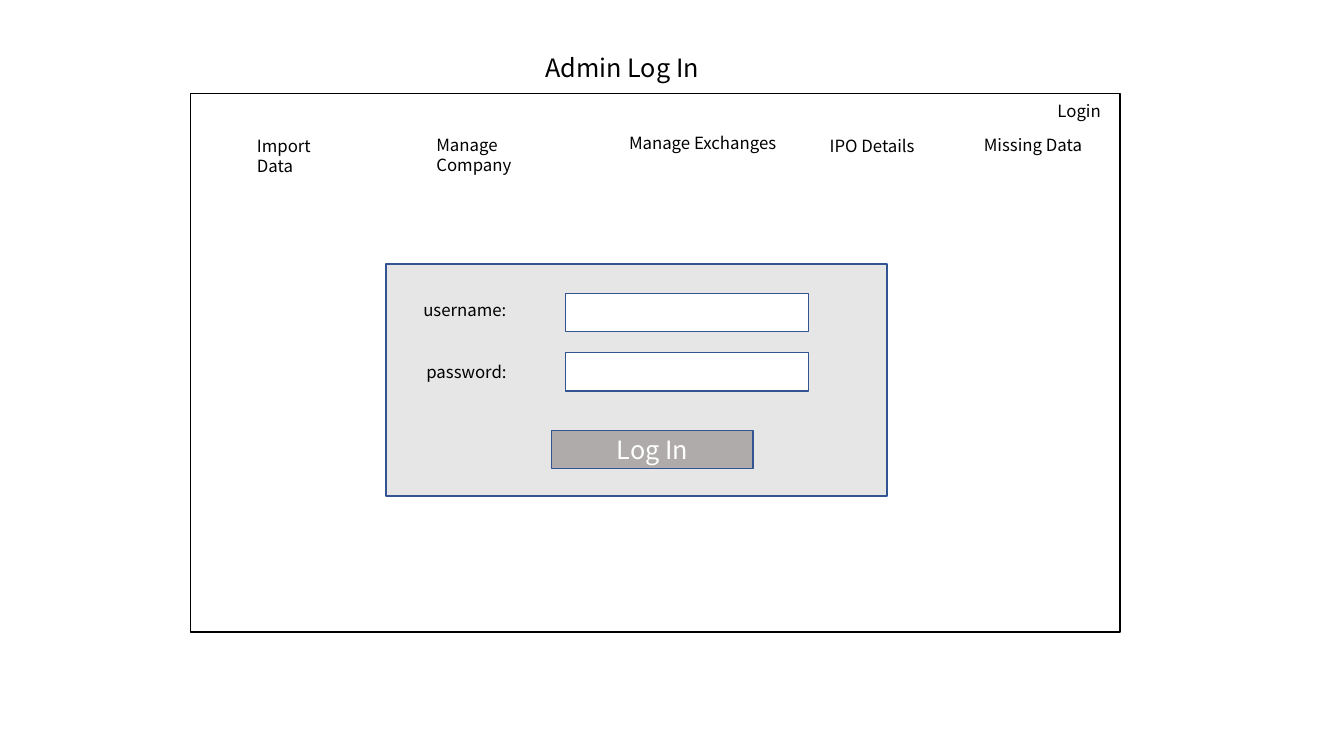
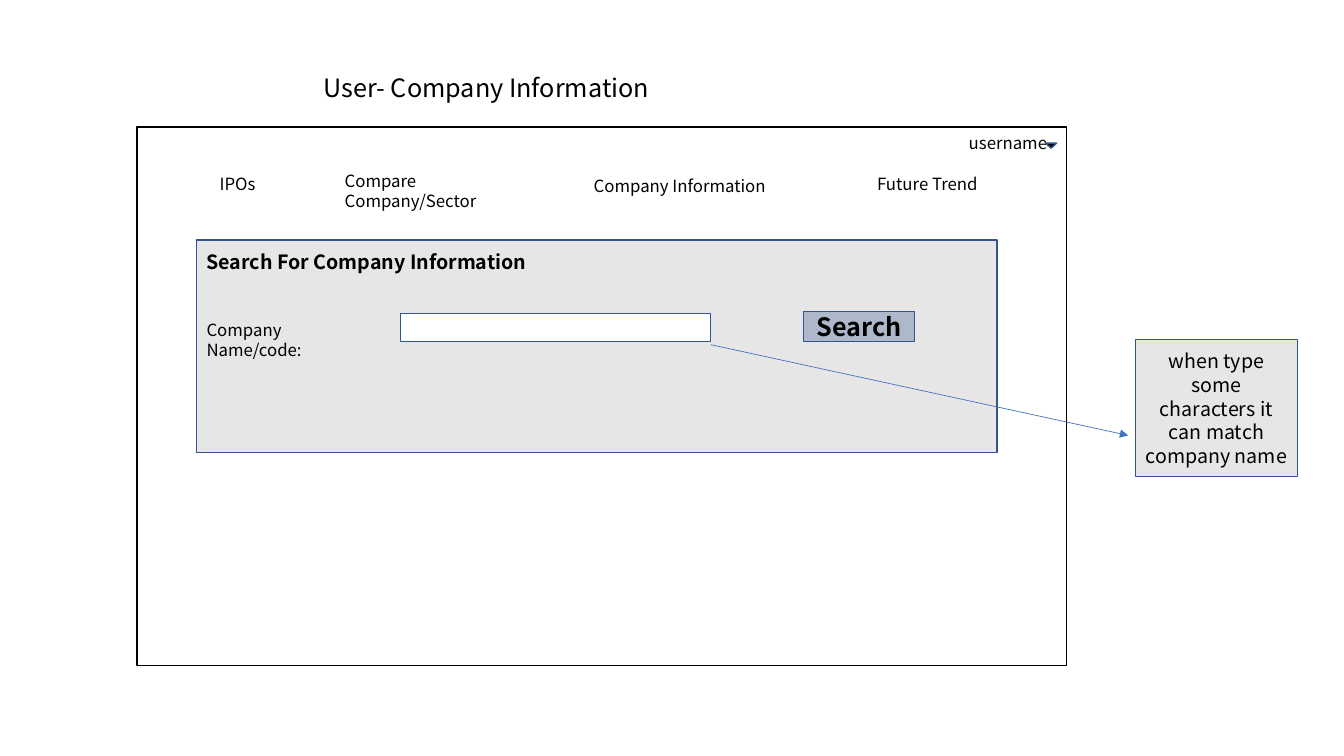
from pptx import Presentation
from pptx import util as u
from pptx.dml.color import RGBColor
from pptx.enum import shapes, text
from pptx.oxml.ns import qn
from lxml import etree

# Shared style
FONT = "Noto Sans CJK SC"
BLACK, WHITE, GREY = "000000", "FFFFFF", "E7E6E6"
EDGE, ARROW = "325491", "4472C4"
RECT = shapes.MSO_SHAPE.RECTANGLE
FRAME = (9.22, 5.34)
LABEL_H = 0.3

# Content: labels are (text, left, top, width[, size, bold]);
# boxes are (place, fill[, text, size, colour, bold])
LOGIN = {
    "title": ("Admin Log In", 5.31, 0.47, 3.56),
    "frame": (1.89, 0.93),
    "boxes": [
        ((3.83, 2.62, 4.97, 2.3), GREY),
        ((5.61, 2.91, 2.41, 0.38), WHITE),
        ((5.61, 3.5, 2.41, 0.38), WHITE),
        ((5.47, 4.27, 2, 0.38), "AFABAB", "Log In", 18, WHITE),
    ],
    "labels": [
        ("Import Data", 2.45, 1.3, 1.07),
        ("Manage Company", 4.23, 1.29, 1.56),
        ("Manage Exchanges", 6.14, 1.27, 1.75),
        ("IPO Details", 8.13, 1.3, 1.16),
        ("Missing Data", 9.66, 1.29, 1.27),
        ("Login", 10.39, 0.95, 1.07),
        ("username:", 4.1, 2.92, 1.52),
        ("password:", 4.13, 3.54, 1.18),
    ],
}
SEARCH = {
    "title": ("User- Company Information", 3.11, 0.67, 5.7),
    "frame": (1.36, 1.26),
    "boxes": [
        ((1.95, 2.38, 7.94, 2.11), GREY),
        ((3.97, 3.11, 3.08, 0.28), WHITE),
        ((7.97, 3.09, 1.1, 0.3), "ADB9CA", "Search", 18, BLACK, True),
        ((11.26, 3.37, 1.61, 1.36), GREY,
         "when type some characters it can match company name", 14, BLACK),
    ],
    "labels": [
        ("IPOs", 2.08, 1.67, 1.07),
        ("Compare Company/Sector", 3.32, 1.64, 2.2),
        ("Company Information", 5.79, 1.69, 1.95),
        ("Future Trend", 8.6, 1.67, 1.75),
        ("username", 9.51, 1.27, 1.07),
        ("Search For Company Information", 1.95, 2.43, 3.44, 14, True),
        ("Company Name/code:", 1.95, 3.12, 1.91),
    ],
}
MENU = (10.37, 1.42, 0.11, 0.05)
POINTER = (7.05, 3.42, 11.19, 4.32)


def inches(place):
    return [u.Inches(n) for n in place]


def color(code):
    return RGBColor.from_string(code)


def write(shape, words, size, ink=BLACK, bold=False, align="LEFT", anchor="TOP"):
    frame = shape.text_frame
    frame.word_wrap = True
    frame.auto_size = text.MSO_AUTO_SIZE.NONE
    frame.vertical_anchor = getattr(text.MSO_ANCHOR, anchor)
    para = frame.paragraphs[0]
    para.alignment = getattr(text.PP_ALIGN, align)
    para.line_spacing = u.Pt(size * 1.2)
    run = para.add_run()
    run.text = words
    font = run.font
    font.name, font.size, font.bold = FONT, u.Pt(size), bold
    font.color.rgb = color(ink)


def box(slide, place, fill, words="", size=18, ink=BLACK, bold=False,
        edge=EDGE, kind=RECT):
    shape = slide.shapes.add_shape(kind, *inches(place))
    shape.shadow.inherit = False
    shape.fill.solid()
    shape.fill.fore_color.rgb = color(fill)
    shape.line.color.rgb = color(edge)
    shape.line.width = u.Pt(1)
    if words:
        write(shape, words, size, ink, bold, "CENTER", "MIDDLE")
    return shape


def label(slide, words, left, top, width, size=12, bold=False):
    place = inches((left, top, width, LABEL_H))
    write(slide.shapes.add_textbox(*place), words, size, bold=bold)


def arrow(slide, ends):
    line = slide.shapes.add_connector(shapes.MSO_CONNECTOR.STRAIGHT, *inches(ends))
    line.line.color.rgb = color(ARROW)
    line.line.width = u.Pt(0.5)
    etree.SubElement(line.line._get_or_add_ln(), qn("a:tailEnd"), type="triangle")
    etree.SubElement(line._element.spPr, qn("a:effectLst"))


def screen(deck, page):
    slide = deck.slides.add_slide(deck.slide_layouts[5])
    # Title
    words, *spot = page["title"]
    title = slide.shapes.title
    title.left, title.top, title.width, title.height = inches((*spot, 0.4))
    write(title, words, 18)
    # Window, panels and labels
    box(slide, page["frame"] + FRAME, WHITE, edge=BLACK)
    for item in page["boxes"]:
        box(slide, *item)
    for item in page["labels"]:
        label(slide, *item)
    return slide


def main():
    deck = Presentation()
    deck.slide_width, deck.slide_height = inches((13.33, 7.5))
    screen(deck, LOGIN)
    # User menu marker and hint arrow
    slide = screen(deck, SEARCH)
    menu = box(slide, MENU, BLACK, kind=shapes.MSO_SHAPE.ISOSCELES_TRIANGLE)
    menu.rotation = 180
    arrow(slide, POINTER)
    deck.save("out.pptx")


if __name__ == "__main__":
    main()
